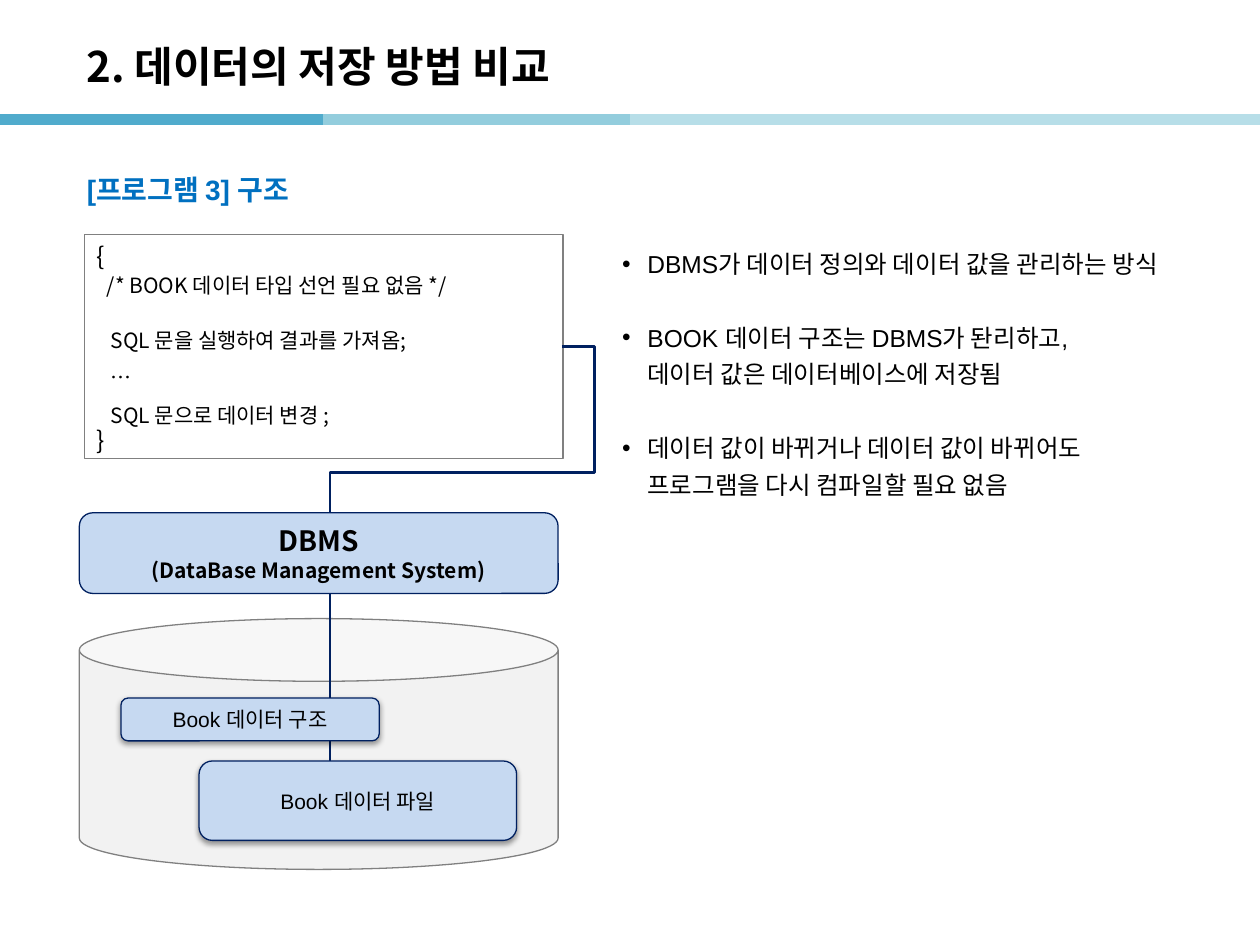
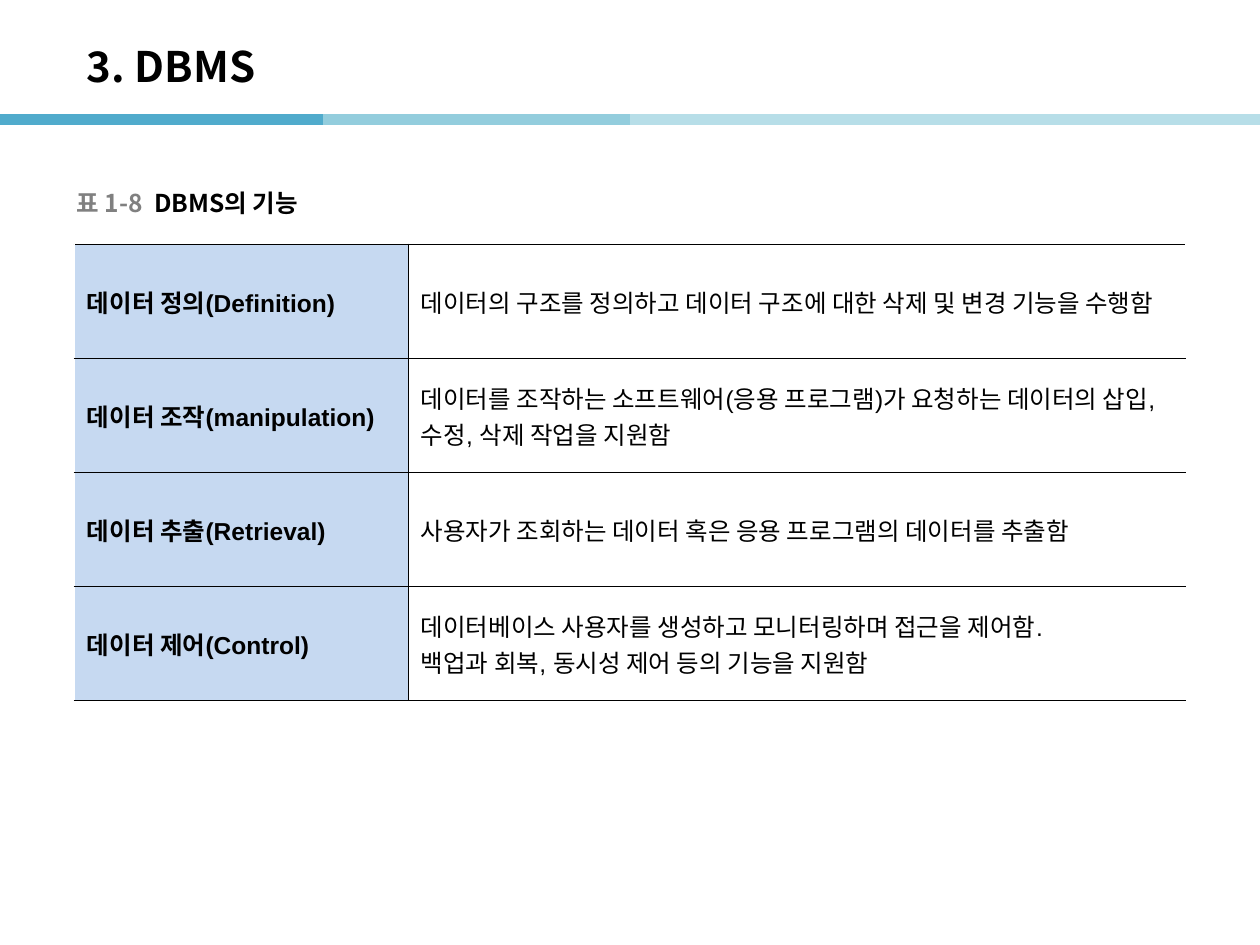
"""Build two slides on data storage and the functions of a DBMS."""
import dataclasses
import typing

import lxml.etree
import pptx
import pptx.dml.color
import pptx.enum.shapes
import pptx.enum.text
import pptx.oxml
import pptx.oxml.ns
import pptx.shapes.autoshape
import pptx.slide
import pptx.table
import pptx.text.text
import pptx.util

Inches = pptx.util.Inches
Pt = pptx.util.Pt
Kind = pptx.enum.shapes.MSO_SHAPE
Link = pptx.enum.shapes.MSO_CONNECTOR
Align = pptx.enum.text.PP_ALIGN
Anchor = pptx.enum.text.MSO_ANCHOR
Frame = pptx.text.text.TextFrame
Slide = pptx.slide.Slide
qn = pptx.oxml.ns.qn


@dataclasses.dataclass(frozen=True)
class Theme:
    black: str = "000000"
    white: str = "FFFFFF"
    gray: str = "808080"
    pale: str = "F2F2F2"
    blue: str = "0070C0"
    navy: str = "002060"
    sky: str = "C6D9F1"
    bands: tuple[str, ...] = ("50ABCC", "93CDDD", "B7DEE8", "B7DEE8")
    sans: str = "Arial"
    noto: str = "Noto Sans CJK KR"
    title: float = 24
    head: float = 16
    body: float = 14
    small: float = 12


THEME = Theme()


class Box(typing.NamedTuple):
    left: float
    top: float
    width: float
    height: float

    def scale(self) -> list[int]:
        return [Inches(side) for side in self]


@dataclasses.dataclass(frozen=True)
class Part:
    box: Box
    lines: tuple[tuple[str, float], ...] = ()
    kind: int = Kind.ROUNDED_RECTANGLE
    fill: str = THEME.sky
    edge: str = THEME.navy
    font: str = THEME.sans
    bold: bool = False
    shade: bool = False


@dataclasses.dataclass(frozen=True)
class Code:
    text: str
    size: float = THEME.small
    indent: float = 0
    pitch: float = 15.5
    before: float = 0


TITLE = Box(0.59, 0.22, 8.27, 0.6)
CODE = Box(0.67, 1.86, 3.8, 1.78)
GRID = Box(0.59, 1.94, 8.82, 3.62)

CODES = (
    Code("{", THEME.body, pitch=17),
    Code("/* BOOK 데이터 타입 선언 필요 없음 */", indent=0.08),
    Code("SQL 문을 실행하여 결과를 가져옴;", indent=0.11, before=16),
    Code("…", indent=0.11, pitch=21.5),
    Code("SQL 문으로 데이터 변경 ;", indent=0.11, pitch=21.5),
    Code("}", THEME.body),
)

NOTES = (
    "DBMS가 데이터 정의와 데이터 값을 관리하는 방식",
    "BOOK 데이터 구조는 DBMS가 돤리하고,\n데이터 값은 데이터베이스에 저장됨",
    "데이터 값이 바뀌거나 데이터 값이 바뀌어도\n프로그램을 다시 컴파일할 필요 없음",
)

STORE = Part(Box(0.63, 4.91, 3.8, 1.99), kind=Kind.CAN,
             fill=THEME.pale, edge=THEME.gray)
PARTS = (
    Part(Box(0.63, 4.07, 3.8, 0.64),
         (("DBMS", THEME.head), ("(DataBase Management System)", THEME.small)),
         font=THEME.noto, bold=True),
    Part(Box(1.58, 6.04, 2.52, 0.63),
         (("Book 데이터 파일", THEME.small),), shade=True),
    Part(Box(0.96, 5.54, 2.05, 0.34),
         (("Book 데이터 구조", THEME.small),), shade=True),
)

ROWS = (
    ("데이터 정의(Definition)",
     ("데이터의 구조를 정의하고 데이터 구조에 대한 삭제 및 변경 기능을 수행함",)),
    ("데이터 조작(manipulation)",
     ("데이터를 조작하는 소프트웨어(응용 프로그램)가 요청하는 데이터의 삽입, 수정, 삭제 작업을 지원함",)),
    ("데이터 추출(Retrieval)",
     ("사용자가 조회하는 데이터 혹은 응용 프로그램의 데이터를 추출함",)),
    ("데이터 제어(Control)",
     ("데이터베이스 사용자를 생성하고 모니터링하며 접근을 제어함.",
      "백업과 회복, 동시성 제어 등의 기능을 지원함")),
)


def tint(code: str) -> pptx.dml.color.RGBColor:
    return pptx.dml.color.RGBColor.from_string(code)


def add(parent: lxml.etree._Element, tag: str, **attrs: object) -> lxml.etree._Element:
    return lxml.etree.SubElement(
        parent, qn(tag), {key: str(item) for key, item in attrs.items()})


def write(frame: Frame, text: str, *, size: float = THEME.body,
          font: str = THEME.sans, color: str = THEME.black, bold: bool = False,
          align: Align = Align.LEFT, pitch: typing.Any = None, before: float = 0,
          indent: float = 0, bullet: str = "", join: bool = False) -> None:
    para = frame.paragraphs[-1]
    if para.runs and not join:
        para = frame.add_paragraph()
    if not join:
        para.alignment = align
        para.space_before = Pt(before)
        if pitch:
            para.line_spacing = pitch
        props = para._p.get_or_add_pPr()
        if indent:
            props.set("marL", str(Inches(indent)))
        if bullet:
            props.set("indent", str(-Inches(indent)))
            add(props, "a:buFont", typeface=THEME.sans)
            add(props, "a:buChar", char=bullet)
    for index, line in enumerate(text.split("\n")):
        if index:
            para.add_line_break()
        run = para.add_run()
        run.text = line
        run.font.size = Pt(size)
        run.font.name = font
        run.font.bold = bold
        run.font.color.rgb = tint(color)
        add(run._r.get_or_add_rPr(), "a:ea", typeface=THEME.noto)


def label(slide: Slide, box: Box, anchor: Anchor = Anchor.TOP,
          wrap: bool = True) -> Frame:
    frame = slide.shapes.add_textbox(*box.scale()).text_frame
    frame.word_wrap = wrap
    frame.vertical_anchor = anchor
    return frame


def draw(slide: Slide, part: Part) -> pptx.shapes.autoshape.Shape:
    shape = slide.shapes.add_shape(part.kind, *part.box.scale())
    shape.shadow.inherit = False
    shape.fill.solid()
    shape.fill.fore_color.rgb = tint(part.fill)
    shape.line.color.rgb = tint(part.edge)
    shape.line.width = Pt(0.75)
    if part.shade:
        effects = shape._element.spPr.find(qn("a:effectLst"))
        outer = add(effects, "a:outerShdw", blurRad=Pt(3.1), dist=Pt(1.6),
                    dir=5400000, rotWithShape=0)
        add(add(outer, "a:srgbClr", val=THEME.black), "a:alpha", val=38000)
    frame = shape.text_frame
    frame.word_wrap = True
    frame.vertical_anchor = Anchor.MIDDLE
    for text, size in part.lines:
        write(frame, text, size=size, font=part.font, bold=part.bold,
              align=Align.CENTER)
    return shape


def link(slide: Slide, kind: Link, start: tuple[float, float],
         end: tuple[float, float], color: str, width: float) -> lxml.etree._Element:
    line = slide.shapes.add_connector(
        kind, *[Inches(place) for place in start + end])
    line.line.color.rgb = tint(color)
    line.line.width = Pt(width)
    props = line._element.spPr
    add(props, "a:effectLst")
    return props


def bend(slide: Slide, start: tuple[float, float], end: tuple[float, float],
         side: float, level: float) -> None:
    props = link(slide, Link.ELBOW, start, end, THEME.navy, 1.5)
    shape = props.find(qn("a:prstGeom"))
    shape.set("prst", "bentConnector4")
    guides = shape.find(qn("a:avLst"))
    if guides is None:
        guides = add(shape, "a:avLst")
    ratios = ((side - start[0]) / (end[0] - start[0]),
              (level - start[1]) / (end[1] - start[1]))
    for index, ratio in enumerate(ratios, 1):
        add(guides, "a:gd", name=f"adj{index}", fmla=f"val {round(ratio * 100000)}")


def start(deck: typing.Any, title: str) -> Slide:
    slide = deck.slides.add_slide(deck.slide_layouts[6])
    for left, color in zip((0, 2.56, 5, 7.46), THEME.bands):
        link(slide, Link.STRAIGHT, (left, 0.95), (left + 2.56, 0.95), color, 6)
    write(label(slide, TITLE, Anchor.MIDDLE), title,
          size=THEME.title, font=THEME.noto, bold=True)
    return slide


def rule(cell: pptx.table._Cell, sides: str) -> None:
    props = cell._tc.get_or_add_tcPr()
    for index, side in enumerate(sides):
        line = add(props, f"a:ln{side}", w=Pt(1))
        add(add(line, "a:solidFill"), "a:srgbClr", val=THEME.black)
        props.insert(index, line)


def store(deck: typing.Any) -> None:
    slide = start(deck, "2. 데이터의 저장 방법 비교")
    write(label(slide, Box(0.59, 1.19, 8.82, 0.6)), "[프로그램 3] 구조",
          size=THEME.head, color=THEME.blue, bold=True, pitch=1.5)
    notes = label(slide, Box(4.84, 1.87, 4.96, 2.46))
    for index, text in enumerate(NOTES):
        write(notes, text, pitch=Pt(21), before=21 if index else 0,
              indent=0.2, bullet="•")
    code = draw(slide, Part(CODE, kind=Kind.RECTANGLE, fill=THEME.white,
                            edge=THEME.gray)).text_frame
    code.vertical_anchor = Anchor.TOP
    for line in CODES:
        write(code, line.text, size=line.size, font=THEME.noto,
              indent=line.indent, pitch=Pt(line.pitch), before=line.before)
    draw(slide, STORE)
    bend(slide, (4.46, 2.75), (2.62, 6.2), side=4.72, level=3.75)
    for part in PARTS:
        draw(slide, part)


def roles(deck: typing.Any) -> None:
    slide = start(deck, "3. DBMS")
    head = label(slide, Box(0.51, 1.45, 2.05, 0.31), Anchor.MIDDLE, wrap=False)
    write(head, "표 1-8  ", font=THEME.noto, color=THEME.gray, bold=True)
    write(head, "DBMS의 기능", font=THEME.noto, bold=True, join=True)
    table = slide.shapes.add_table(len(ROWS), 2, *GRID.scale()).table
    table.first_row = table.horz_banding = False
    for column, width in zip(table.columns, (2.65, 6.17)):
        column.width = Inches(width)
    for row, (name, lines) in enumerate(ROWS):
        looks = (((name,), THEME.sky, True, "RTB"),
                 (lines, THEME.white, False, "LTB"))
        for column, (texts, fill, bold, sides) in enumerate(looks):
            cell = table.cell(row, column)
            cell.vertical_anchor = Anchor.MIDDLE
            cell.fill.solid()
            cell.fill.fore_color.rgb = tint(fill)
            rule(cell, sides)
            for text in texts:
                write(cell.text_frame, text, bold=bold)


def main() -> None:
    deck = pptx.Presentation()
    deck.slide_width, deck.slide_height = Inches(10), Inches(7.5)
    store(deck)
    roles(deck)
    deck.save("out.pptx")


if __name__ == "__main__":
    main()
